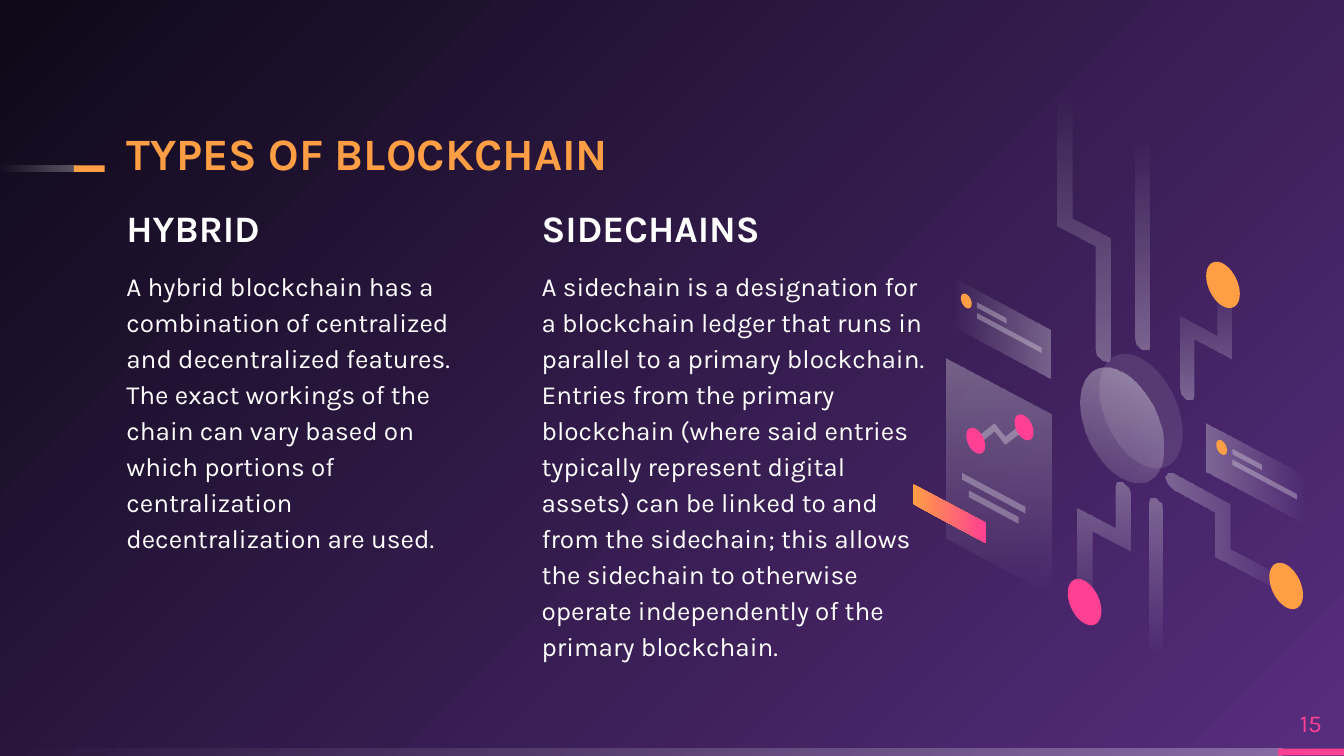
from math import cos, pi, sin
from lxml.etree import fromstring
from pptx import Presentation
from pptx.dml.color import RGBColor
from pptx.enum.shapes import MSO_SHAPE
from pptx.enum.text import MSO_ANCHOR, MSO_AUTO_SIZE, PP_ALIGN
from pptx.oxml.ns import nsdecls, qn
from pptx.util import Cm, Pt

WHITE, ORANGE, PINK = "FFFFFF", "FF9E44", "FF4093"
FADE = [(WHITE, 30), (WHITE, 0)]
GLASS = [(WHITE, 30)]
GLOW = [(ORANGE, 100), (PINK, 100)]
COIN = [(WHITE, 40), (WHITE, 10)]
HALO = [(WHITE, 10)]
NIGHT = [("572D7E", 100), ("0E0918", 100)]
SLOPE, RISE = 0.535, 1.27
WIDE = 10
HIGH = WIDE * 9 / 16

TITLE = "TYPES OF BLOCKCHAIN"
NUMBER = "15"
COLUMNS = [
    (0.94, 2.71, "HYBRID",
     "A hybrid blockchain has a combination of centralized and decentralized "
     "features. The exact workings of the chain can vary based on which "
     "portions of centralization decentralization are used."),
    (4.03, 2.91, "SIDECHAINS",
     "A sidechain is a designation for a blockchain ledger that runs in "
     "parallel to a primary blockchain. Entries from the primary blockchain "
     "(where said entries typically represent digital assets) can be linked "
     "to and from the sidechain; this allows the sidechain to otherwise "
     "operate independently of the primary blockchain."),
]
STRIPS = [
    (0, 5.57, 9.54, FADE, 180), (9.51, 5.57, 0.49, [(PINK, 100)], 0),
    (0, 1.23, 0.56, FADE, 180), (0.55, 1.23, 0.23, [(ORANGE, 100)], 0),
]
PIPES = [
    (270, [(7.93, 0.68), (7.97, 0.72), (7.98, 0.77), (7.98, 1.62),
           (8.26, 1.77), (8.26, 2.65), (8.24, 2.69), (8.2, 2.68),
           (8.16, 2.64), (8.15, 2.59), (8.15, 1.83), (7.87, 1.68),
           (7.87, 0.71), (7.89, 0.67)]),
    (90, [(8.08, 4.62), (8.12, 4.63), (8.13, 4.6), (8.13, 3.95),
          (8.41, 4.1), (8.41, 3.68), (8.39, 3.63), (8.35, 3.59),
          (8.31, 3.59), (8.3, 3.62), (8.3, 3.93), (8.02, 3.78),
          (8.02, 4.54), (8.04, 4.59)]),
    (270, [(8.5, 1.03), (8.54, 1.06), (8.55, 1.11), (8.55, 2.57),
           (8.54, 2.6), (8.5, 2.6), (8.46, 2.56), (8.45, 2.51),
           (8.45, 1.06), (8.46, 1.02)]),
    (270, [(9.11, 2.04), (9.07, 2.03), (9.05, 2.06), (9.05, 2.5),
           (8.78, 2.35), (8.78, 2.88), (8.79, 2.93), (8.83, 2.97),
           (8.87, 2.97), (8.88, 2.94), (8.88, 2.52), (9.16, 2.67),
           (9.16, 2.12), (9.15, 2.07)]),
    (0, [(9.63, 4.39), (9.62, 4.35), (9.58, 4.31), (9.15, 4.08),
         (9.15, 3.75), (8.73, 3.52), (8.69, 3.52), (8.67, 3.55),
         (8.69, 3.6), (8.73, 3.64), (9.04, 3.81), (9.04, 4.14),
         (9.58, 4.42), (9.62, 4.43)]),
    (90, [(8.6, 4.87), (8.56, 4.84), (8.55, 4.79), (8.55, 3.74),
          (8.56, 3.71), (8.6, 3.71), (8.64, 3.75), (8.65, 3.8),
          (8.65, 4.85), (8.64, 4.88)]),
]
CHART = [(7.6, 3.22), (7.48, 3.31), (7.4, 3.21), (7.29, 3.3), (7.25, 3.27),
         (7.4, 3.15), (7.48, 3.25), (7.57, 3.18)]
PANELS = [
    (7.04, 2.67, 0.78, 1.34, FADE, 90), (7.16, 3.52, 0.47, 0.05, GLASS, 0),
    (7.21, 3.65, 0.37, 0.05, GLASS, 0), (6.79, 3.6, 0.55, 0.15, GLOW, 0),
]
CARDS = [(8.98, 3.15, 0), (7.08, 2.06, 180)]
DISCS = [
    (8.07, 4.48, 0.25, [(PINK, 100)], 0), (9.1, 2.12, 0.25, [(ORANGE, 100)], 0),
    (9.57, 4.36, 0.25, [(ORANGE, 100)], 0), (7.62, 3.18, 0.14, [(PINK, 100)], 0),
    (7.26, 3.28, 0.14, [(PINK, 100)], 0), (8.49, 3.06, 0.62, HALO, 0),
    (8.35, 3.16, 0.62, COIN, 110),
]


def size(*vals):
    return [Cm(v * 2.54) for v in vals]


def style(item, **vals):
    for key, val in vals.items():
        setattr(item, key, val)


def paint(item, root, stops, way):
    item.fill.solid()
    marks = [f'<a:srgbClr val="{hue}"><a:alpha val="{clear * 1000}"/></a:srgbClr>'
             for hue, clear in stops]
    if len(marks) == 1:
        text = f'<a:solidFill {nsdecls("a")}>{marks[0]}</a:solidFill>'
    else:
        text = (f'<a:gradFill {nsdecls("a")} rotWithShape="1"><a:gsLst>'
                f'<a:gs pos="0">{marks[0]}</a:gs><a:gs pos="100000">{marks[1]}</a:gs>'
                f'</a:gsLst>{way}</a:gradFill>')
    old = root.find(".//" + qn("a:solidFill"))
    old.getparent().replace(old, fromstring(text))


def finish(shape, stops, ang):
    paint(shape, shape._element, stops, f'<a:lin ang="{ang * 60000}" scaled="0"/>')
    shape.line.fill.background()
    shape.shadow.inherit = False


def draw(group, spots, stops, ang=0):
    spots = [size(*spot) for spot in spots]
    pen = group.shapes.build_freeform(*spots[0], scale=1.0)
    pen.add_line_segments(spots[1:], close=True)
    finish(pen.convert_to_shape(), stops, ang)


def slab(x, y, w, h):
    drop = w * SLOPE
    return [(x, y), (x + w, y + drop), (x + w, y + drop + h), (x, y + h)]


def disc(x, y, w):
    turns = [2 * pi * i / 48 for i in range(48)]
    return [(x + w / 2 * cos(t), y + w / 2 * (SLOPE * cos(t) + RISE * sin(t)))
            for t in turns]


def place(box, x, y, w, h, anchor):
    for key, val in zip(("left", "top", "width", "height"), size(x, y, w, h)):
        setattr(box, key, val)
    style(box.text_frame, word_wrap=True, auto_size=MSO_AUTO_SIZE.NONE,
          vertical_anchor=anchor, margin_left=0, margin_right=0,
          margin_top=0, margin_bottom=0)


def write(para, text, points, hue, bold=False, **form):
    run = para.add_run()
    run.text = text
    style(run.font, name="Karla", size=Pt(points), bold=bold)
    run.font.color.rgb = RGBColor.from_string(hue)
    style(para, **form)


def main():
    deck = Presentation()
    deck.slide_width, deck.slide_height = size(WIDE, HIGH)
    slide = deck.slides.add_slide(deck.slide_layouts[5])
    paint(slide.background, slide._element, NIGHT,
          '<a:path path="circle"><a:fillToRect l="100000" t="100000"/></a:path>')

    for x, y, w, stops, ang in STRIPS:
        bar = slide.shapes.add_shape(MSO_SHAPE.RECTANGLE, *size(x, y, w, 0.05))
        finish(bar, stops, ang)

    title = slide.shapes.title
    place(title, 0.94, 0.91, 5.8, 0.43, MSO_ANCHOR.BOTTOM)
    write(title.text_frame.paragraphs[0], TITLE, 24, ORANGE, True,
          line_spacing=0.9, alignment=PP_ALIGN.LEFT)

    for x, w, head, body in COLUMNS:
        box = slide.shapes.add_textbox(0, 0, 0, 0)
        place(box, x, 1.48, w, 3.74, MSO_ANCHOR.TOP)
        write(box.text_frame.paragraphs[0], head, 20, WHITE, True, line_spacing=1.15)
        write(box.text_frame.add_paragraph(), body, 14, WHITE, line_spacing=1.15,
              space_before=Pt(8), space_after=Pt(8))

    box = slide.shapes.add_textbox(0, 0, 0, 0)
    place(box, 9.51, 5.19, 0.49, 0.38, MSO_ANCHOR.MIDDLE)
    write(box.text_frame.paragraphs[0], NUMBER, 13, PINK, alignment=PP_ALIGN.CENTER)

    art = slide.shapes.add_group_shape()
    for ang, spots in PIPES:
        draw(art, spots, FADE, ang)
    for x, y, w, h, stops, ang in PANELS:
        draw(art, slab(x, y, w, h), stops, ang)
    draw(art, CHART, GLASS)
    for x, y, ang in CARDS:
        draw(art, slab(x, y, 0.74, 0.36), FADE, ang)
        draw(art, slab(x + 0.19, y + 0.19, 0.22, 0.04), GLASS)
        draw(art, slab(x + 0.19, y + 0.27, 0.48, 0.04), GLASS)
        draw(art, disc(x + 0.11, y + 0.18, 0.08), [(ORANGE, 100)])
    for x, y, w, stops, ang in DISCS:
        draw(art, disc(x, y, w), stops, ang)

    deck.save("out.pptx")


if __name__ == "__main__":
    main()
